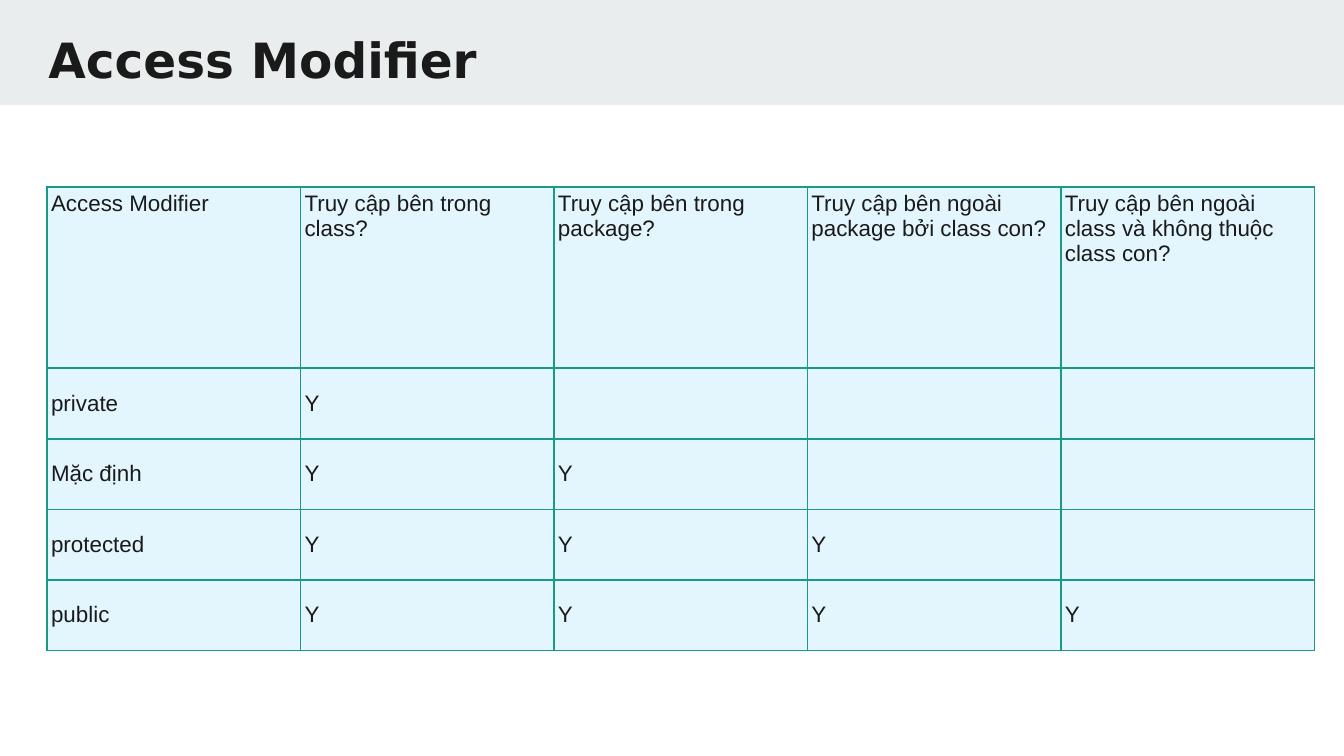
from lxml.etree import SubElement
from pptx import Presentation
from pptx.dml.color import RGBColor
from pptx.enum.shapes import MSO_SHAPE
from pptx.enum.text import MSO_ANCHOR, MSO_AUTO_SIZE, PP_ALIGN
from pptx.oxml.ns import qn
from pptx.util import Inches, Pt

INK = RGBColor(0x1A, 0x1A, 0x1A)
BAND = RGBColor(0xE9, 0xED, 0xEE)
CELL = RGBColor(0xE4, 0xF6, 0xFD)
BORDER = RGBColor(0x1A, 0x99, 0x88)

SLIDE_WIDTH = 10
TABLE_HEIGHT = 3.45
HEADING_HEIGHT = 1.35
HEADINGS = [
    "Access Modifier",
    "Truy cập bên trong class?",
    "Truy cập bên trong package?",
    "Truy cập bên ngoài package bởi class con?",
    "Truy cập bên ngoài class và không thuộc class con?",
]
MODIFIERS = ["private", "Mặc định", "protected", "public"]


class SlideBuilder:
    """Draws styled elements on the current slide."""

    title_font = "DejaVu Sans"
    body_font = "Arial"

    def __init__(self, slide):
        self.slide = slide

    def style(self, paragraph, font_name, size, bold=False):
        paragraph.alignment = PP_ALIGN.LEFT
        for run in paragraph.runs:
            run.font.name = font_name
            run.font.size = Pt(size)
            run.font.bold = bold
            run.font.color.rgb = INK

    def band(self, width, height):
        band = self.slide.shapes.add_shape(MSO_SHAPE.RECTANGLE, 0, 0, Inches(width), Inches(height))
        band.shadow.inherit = False
        band.fill.solid()
        band.fill.fore_color.rgb = BAND
        band.line.fill.background()
        self.slide.shapes.title._element.addprevious(band._element)

    def title(self, text, left, top, width, height):
        title = self.slide.shapes.title
        title.left, title.top = Inches(left), Inches(top)
        title.width, title.height = Inches(width), Inches(height)
        frame = title.text_frame
        frame.text = text
        frame.word_wrap = True
        frame.auto_size = MSO_AUTO_SIZE.NONE
        frame.vertical_anchor = MSO_ANCHOR.TOP
        frame.margin_left = frame.margin_right = Inches(0.1)
        frame.margin_top = frame.margin_bottom = Inches(0.1)
        self.style(frame.paragraphs[0], self.title_font, 26, bold=True)

    def borders(self, cell):
        properties = cell._tc.get_or_add_tcPr()
        for side in ("a:lnL", "a:lnR", "a:lnT", "a:lnB"):
            line = SubElement(properties, qn(side), w=str(Pt(1)))
            fill = SubElement(line, qn("a:solidFill"))
            SubElement(fill, qn("a:srgbClr"), val=str(BORDER))

    def cell(self, cell, text, anchor):
        cell.text = text
        cell.vertical_anchor = anchor
        cell.margin_left = cell.margin_right = Inches(0.03)
        cell.margin_top = cell.margin_bottom = Inches(0.03)
        self.style(cell.text_frame.paragraphs[0], self.body_font, 12)
        self.borders(cell)
        cell.fill.solid()
        cell.fill.fore_color.rgb = CELL

    def table(self, rows, left, top, width, heights):
        column_count = len(rows[0])
        frame = self.slide.shapes.add_table(
            len(rows), column_count, Inches(left), Inches(top), Inches(width), Inches(sum(heights))
        )
        table = frame.table
        table.first_row = table.horz_banding = False
        for column in table.columns:
            column.width = Inches(width / column_count)
        for row_index, (texts, height) in enumerate(zip(rows, heights)):
            table.rows[row_index].height = Inches(height)
            anchor = MSO_ANCHOR.MIDDLE if row_index else MSO_ANCHOR.TOP
            for column_index, text in enumerate(texts):
                self.cell(table.cell(row_index, column_index), text, anchor)


def main():
    presentation = Presentation()
    presentation.slide_width = Inches(SLIDE_WIDTH)
    presentation.slide_height = Inches(SLIDE_WIDTH * 9 / 16)
    builder = SlideBuilder(presentation.slides.add_slide(presentation.slide_layouts[5]))
    builder.band(SLIDE_WIDTH, 0.78)
    builder.title("Access Modifier", 0.26, 0.12, 9.52, 0.59)
    access_count = len(MODIFIERS)
    access_rows = [
        [modifier] + ["Y"] * level + [""] * (access_count - level)
        for level, modifier in enumerate(MODIFIERS, start=1)
    ]
    row_height = (TABLE_HEIGHT - HEADING_HEIGHT) / access_count
    heights = [HEADING_HEIGHT] + [row_height] * access_count
    builder.table([HEADINGS] + access_rows, 0.35, 1.39, 9.43, heights)
    presentation.save("out.pptx")


if __name__ == "__main__":
    main()
